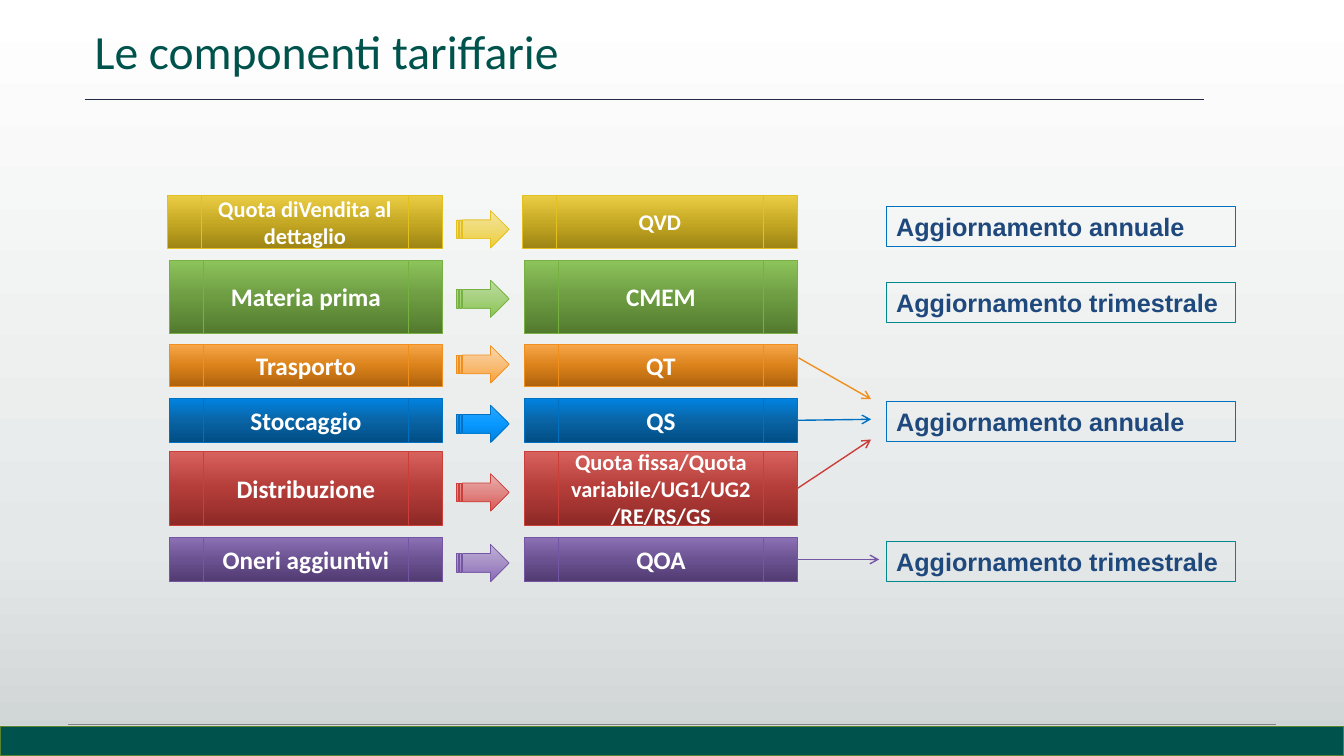
from copy import deepcopy

from pptx import Presentation
from pptx.dml.color import RGBColor
from pptx.enum.shapes import MSO_CONNECTOR, MSO_SHAPE
from pptx.enum.text import MSO_ANCHOR, MSO_AUTO_SIZE, PP_ALIGN
from pptx.oxml.ns import qn
from pptx.util import Inches, Pt

STRAIGHT = MSO_CONNECTOR.STRAIGHT
RECTANGLE = MSO_SHAPE.RECTANGLE
PROCESS = MSO_SHAPE.FLOWCHART_PREDEFINED_PROCESS
ARROW = MSO_SHAPE.STRIPED_RIGHT_ARROW
RIGHT_SIDE = 3

WHITE = RGBColor(0xFF, 0xFF, 0xFF)
PALE_GREY = RGBColor(0xE5, 0xE8, 0xE8)
SILVER = RGBColor(0xCD, 0xD2, 0xD2)
GREY = RGBColor(0x80, 0x84, 0x84)
DARK_GREEN = RGBColor(0x00, 0x53, 0x4C)
OLIVE = RGBColor(0x58, 0x83, 0x31)
NAVY = RGBColor(0x22, 0x2B, 0x48)
TEXT_BLUE = RGBColor(0x1F, 0x49, 0x7D)
TEAL = RGBColor(0x01, 0x88, 0x8C)
YELLOW = RGBColor(0xE3, 0xC0, 0x1E)
GREEN = RGBColor(0x77, 0xB1, 0x42)
ORANGE = RGBColor(0xF0, 0x8F, 0x1E)
BLUE = RGBColor(0x00, 0x70, 0xC0)
RED = RGBColor(0xCB, 0x3E, 0x3A)
PURPLE = RGBColor(0x75, 0x56, 0xA4)

# Top, middle and bottom shades of the boxes and of the arrows, by outline colour
BOX_SHADES = {
    YELLOW: (RGBColor(0xEB, 0xCD, 0x45), RGBColor(0xC6, 0xA9, 0x24), RGBColor(0x9E, 0x85, 0x14)),
    GREEN: (RGBColor(0x8D, 0xC4, 0x5B), RGBColor(0x6D, 0x9C, 0x42), RGBColor(0x52, 0x7A, 0x2E)),
    ORANGE: (RGBColor(0xF6, 0xA6, 0x49), RGBColor(0xDB, 0x82, 0x1B), RGBColor(0xAF, 0x63, 0x0C)),
    BLUE: (RGBColor(0x00, 0x84, 0xE3), RGBColor(0x0A, 0x64, 0xA5), RGBColor(0x00, 0x4D, 0x84)),
    RED: (RGBColor(0xD7, 0x61, 0x5D), RGBColor(0xB4, 0x3D, 0x39), RGBColor(0x8E, 0x29, 0x26)),
    PURPLE: (RGBColor(0x8C, 0x71, 0xB6), RGBColor(0x6B, 0x52, 0x91), RGBColor(0x51, 0x3B, 0x71)),
}
ARROW_SHADES = {
    YELLOW: (RGBColor(0xF4, 0xE5, 0xA0), RGBColor(0xEF, 0xD9, 0x71), RGBColor(0xEF, 0xCE, 0x39)),
    GREEN: (RGBColor(0xBD, 0xDC, 0xA1), RGBColor(0xA5, 0xD0, 0x7D), RGBColor(0x89, 0xC5, 0x52)),
    ORANGE: (RGBColor(0xFA, 0xD7, 0xAE), RGBColor(0xF8, 0xBE, 0x7A), RGBColor(0xFA, 0xA2, 0x3C)),
    BLUE: (RGBColor(0x2E, 0xA8, 0xFF), RGBColor(0x08, 0x98, 0xFF), RGBColor(0x00, 0x81, 0xDD)),
    RED: (RGBColor(0xEA, 0xB1, 0xAF), RGBColor(0xE0, 0x88, 0x85), RGBColor(0xD9, 0x57, 0x53)),
    PURPLE: (RGBColor(0xC0, 0xB2, 0xD7), RGBColor(0xA6, 0x90, 0xC6), RGBColor(0x88, 0x6A, 0xB6)),
}

presentation = Presentation()
presentation.slide_width = Inches(13.33)
presentation.slide_height = Inches(7.5)
slide = presentation.slides.add_slide(presentation.slide_layouts[6])


def set_gradient(fill, element, colors, middle=0.5):
    """Fill from top to bottom with three colours."""
    fill.gradient()
    fill.gradient_angle = 270
    stop_list = element.find(".//" + qn("a:gsLst"))
    stop_list.append(deepcopy(stop_list[0]))
    for stop, position, color in zip(fill.gradient_stops, (0, middle, 1), colors):
        stop.position = position
        stop.color.rgb = color


def write(shape, text, color, **format_values):
    """Put one formatted paragraph in a shape."""
    shape.text_frame.word_wrap = True
    paragraph = shape.text_frame.paragraphs[0]
    paragraph.text = text
    paragraph.font.color.rgb = color
    for name, value in format_values.items():
        setattr(paragraph.font, name, value)
    return paragraph


# Background and bottom band
set_gradient(slide.background.fill, slide.element, (WHITE, PALE_GREY, SILVER), 0.72)
for top, height, color, outline in ((7.2, 0.05, WHITE, None), (7.21, 0.29, DARK_GREEN, OLIVE)):
    band = slide.shapes.add_shape(RECTANGLE, 0, Inches(top), Inches(13.33), Inches(height))
    band.shadow.inherit = False
    band.fill.solid()
    band.fill.fore_color.rgb = color
    if outline:
        band.line.color.rgb = outline
        band.line.width = Pt(1)
    else:
        band.line.fill.background()

# Title
title = slide.shapes.add_textbox(Inches(0.84), Inches(0.13), Inches(10.4), Inches(0.71))
title.text_frame.vertical_anchor = MSO_ANCHOR.BOTTOM
write(title, "Le componenti tariffarie", DARK_GREEN, name="Calibri", size=Pt(34)).line_spacing = 0.9

# Tariff rows: component box, arrow, code box
rows = [
    ("Quota diVendita al dettaglio", "QVD", YELLOW, 1.94, 0.52, 2.09, 16, 16),
    ("Materia prima", "CMEM", GREEN, 2.58, 0.73, 2.78, 18, 18),
    ("Trasporto", "QT", ORANGE, 3.42, 0.41, 3.43, 18, 18),
    ("Stoccaggio", "QS", BLUE, 3.95, 0.44, 4.02, 18, 18),
    ("Distribuzione", "Quota fissa/Quota variabile/UG1/UG2/RE/RS/GS", RED, 4.48, 0.73, 4.7, 18, 16),
    ("Oneri aggiuntivi", "QOA", PURPLE, 5.33, 0.44, 5.4, 18, 18),
]
code_boxes = {}
for component, code, color, top, height, arrow_top, component_size, code_size in rows:
    width = 2.73 if color == YELLOW else 2.71
    parts = [
        (PROCESS, 4.39 - width, top, width, height, BOX_SHADES, component, component_size),
        (ARROW, 4.53, arrow_top, 0.52, 0.37, ARROW_SHADES, None, None),
        (PROCESS, 7.91 - width, top, width, height, BOX_SHADES, code, code_size),
    ]
    for kind, left, part_top, part_width, part_height, shades, text, size in parts:
        shape = slide.shapes.add_shape(
            kind, Inches(left), Inches(part_top), Inches(part_width), Inches(part_height))
        shape.shadow.inherit = False
        set_gradient(shape.fill, shape.element, shades[color])
        shape.line.color.rgb = color
        shape.line.width = Pt(0.5)
        if text:
            shape.text_frame.vertical_anchor = MSO_ANCHOR.MIDDLE
            paragraph = write(shape, text, WHITE, name="Calibri", size=Pt(size), bold=True)
            paragraph.alignment = PP_ALIGN.CENTER
    code_boxes[color] = shape

# Rules under the title and above the band, then arrows to the updates
lines = [
    (0.84, 0.99, 11.94, 0.99, NAVY, 0.5, False),
    (0.67, 7.19, 12.66, 7.19, GREY, 0.5, False),
    (7.92, 3.55, 8.64, 3.96, ORANGE, 1, True),
    (7.91, 4.17, 8.64, 4.16, BLUE, 1, True),
    (7.91, 4.85, 8.64, 4.36, RED, 1, True),
    (7.91, 5.55, 8.72, 5.55, PURPLE, 1, True),
]
for start_x, start_y, end_x, end_y, color, width, has_head in lines:
    connector = slide.shapes.add_connector(
        STRAIGHT, Inches(start_x), Inches(start_y), Inches(end_x), Inches(end_y))
    connector.line.color.rgb = color
    connector.line.width = Pt(width)
    properties = connector.element.spPr
    properties.append(properties.makeelement(qn("a:effectLst"), {}))
    if has_head:
        line = properties.find(qn("a:ln"))
        line.append(line.makeelement(qn("a:tailEnd"), {"type": "arrow"}))
    if color in (BLUE, RED, PURPLE):
        connector.begin_connect(code_boxes[color], RIGHT_SIDE)

# Update frequencies
updates = [
    ("annuale", 2.05, BLUE),
    ("trimestrale", 2.8, TEAL),
    ("annuale", 3.98, BLUE),
    ("trimestrale", 5.37, TEAL),
]
for frequency, top, color in updates:
    update = slide.shapes.add_shape(RECTANGLE, Inches(8.79), Inches(top), Inches(3.46), Inches(0.4))
    update.shadow.inherit = False
    update.fill.background()
    update.line.color.rgb = color
    update.line.width = Pt(0.75)
    update.text_frame.vertical_anchor = MSO_ANCHOR.TOP
    update.text_frame.auto_size = MSO_AUTO_SIZE.SHAPE_TO_FIT_TEXT
    paragraph = write(update, f"Aggiornamento {frequency}", TEXT_BLUE, name="Arial", size=Pt(18), bold=True)
    paragraph.alignment = PP_ALIGN.LEFT

presentation.save("out.pptx")
